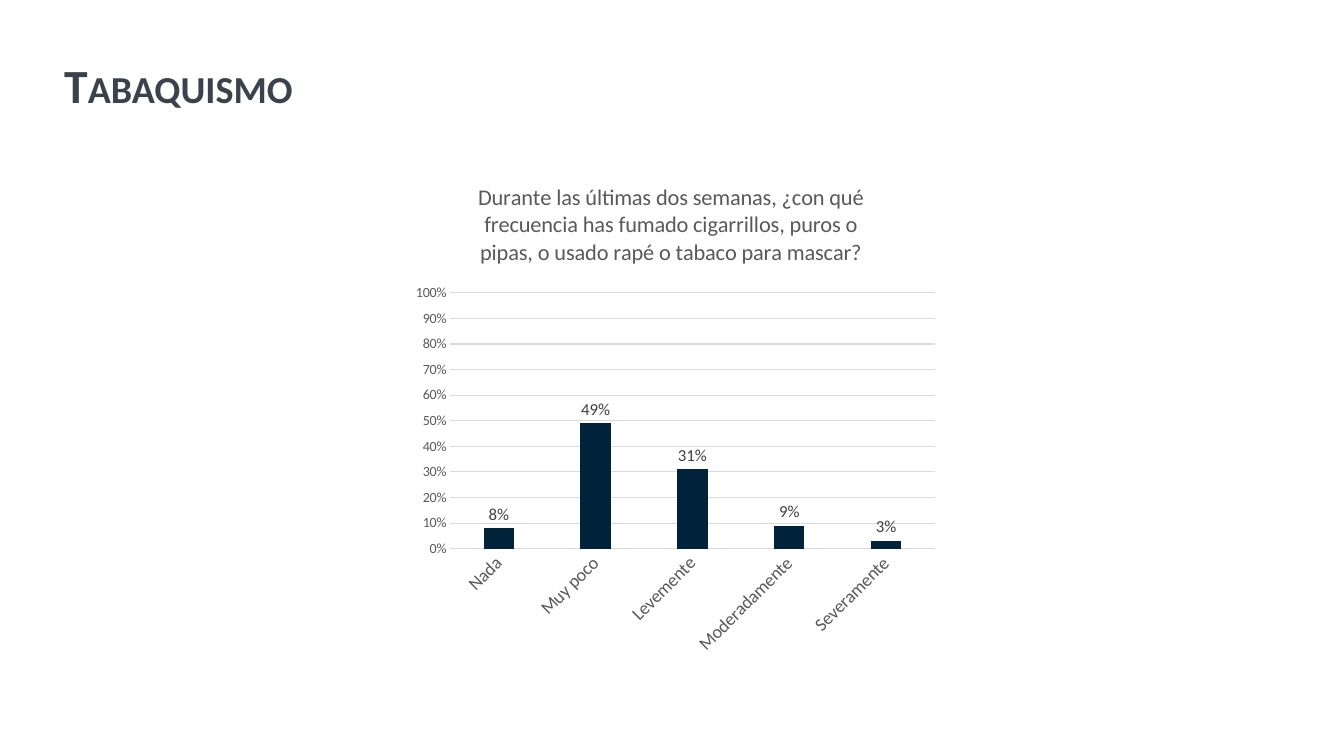
"""Build a slide with a column chart on tobacco use."""
from lxml.etree import fromstring
from pptx import Presentation
from pptx.chart.data import CategoryChartData
from pptx.dml.color import RGBColor
from pptx.enum.chart import XL_CHART_TYPE, XL_LABEL_POSITION, XL_TICK_MARK
from pptx.enum.text import MSO_ANCHOR
from pptx.oxml.ns import nsdecls, qn
from pptx.util import Cm, Pt

TITLE = "Tabaquismo"
QUESTION = ("Durante las últimas dos semanas, ¿con qué frecuencia has fumado "
            "cigarrillos, puros o pipas, o usado rapé o tabaco para mascar?")
SHARES = {"Nada": 0.08, "Muy poco": 0.49, "Levemente": 0.31,
          "Moderadamente": 0.09, "Severamente": 0.03}
FACE, GREY, RULE, NAVY = "Calibri", "595959", "D9D9D9", "00223A"
PLOT = {"x": 0.09, "y": 0.26, "w": 0.9, "h": 0.51}


def paint(item, color):
    item.rgb = RGBColor.from_string(color)


def style(font, size, color, bold=False):
    font.name, font.size, font.bold = FACE, Pt(size), bold
    paint(font.color, color)


def write(frame, text, size, color, bold=False, small=False):
    para = frame.paragraphs[0]
    run = para.add_run()
    run.text = text
    style(run.font, size, color, bold)
    if small:
        run._r.get_or_add_rPr().set("cap", "small")
    return para


def rule(line):
    paint(line.color, RULE)
    line.width = Pt(0.75)


def place(chart):
    area = chart._chartSpace.chart.plotArea
    for old in area.findall(qn("c:layout")):
        area.remove(old)
    modes = '<c:xMode val="edge"/><c:yMode val="edge"/>'
    sides = "".join(f'<c:{key} val="{val}"/>' for key, val in PLOT.items())
    area.insert(0, fromstring(
        f'<c:layout {nsdecls("c")}><c:manualLayout><c:layoutTarget val="inner"/>'
        f'{modes}{sides}</c:manualLayout></c:layout>'))


def add_title(slide):
    box = slide.shapes.add_textbox(Cm(1.37), Cm(1.02), Cm(32.33), Cm(2.39))
    frame = box.text_frame
    frame.word_wrap = True
    frame.vertical_anchor = MSO_ANCHOR.MIDDLE
    write(frame, TITLE, 34, "3A434C", bold=True, small=True).line_spacing = 0.9


def add_bars(slide):
    data = CategoryChartData(number_format="0%")
    data.categories = list(SHARES)
    data.add_series("Series 1", list(SHARES.values()))
    chart = slide.shapes.add_chart(
        XL_CHART_TYPE.COLUMN_CLUSTERED,
        Cm(10.13), Cm(4.09), Cm(13.56), Cm(12.65), data).chart
    style(chart.font, 10, GREY)
    chart.has_legend = False
    chart.has_title = True
    write(chart.chart_title.text_frame, QUESTION, 16, GREY)
    chart.chart_title.include_in_layout = False

    cats, vals = chart.category_axis, chart.value_axis
    for axis, size in ((cats, 13), (vals, 10)):
        axis.major_tick_mark = axis.minor_tick_mark = XL_TICK_MARK.NONE
        style(axis.tick_labels.font, size, GREY)
    rule(cats.format.line)
    cats._element.txPr.bodyPr.set("rot", "-2700000")
    vals.minimum_scale, vals.maximum_scale, vals.major_unit = 0, 1, 0.1
    vals.tick_labels.number_format = "0%"
    vals.tick_labels.number_format_is_linked = False
    vals.format.line.fill.background()
    rule(vals.major_gridlines.format.line)

    plot = chart.plots[0]
    plot.gap_width, plot.overlap = 219, -27
    plot.vary_by_categories = False
    fill = plot.series[0].format.fill
    fill.solid()
    paint(fill.fore_color, NAVY)
    plot.has_data_labels = True
    labels = plot.data_labels
    labels.show_value = True
    labels.position = XL_LABEL_POSITION.OUTSIDE_END
    labels.number_format = "0%"
    labels.number_format_is_linked = False
    style(labels.font, 12, "404040")
    place(chart)


def main():
    deck = Presentation()
    deck.slide_width, deck.slide_height = Cm(33.87), Cm(19.05)
    slide = deck.slides.add_slide(deck.slide_layouts[6])
    add_title(slide)
    add_bars(slide)
    deck.save("out.pptx")


if __name__ == "__main__":
    main()
